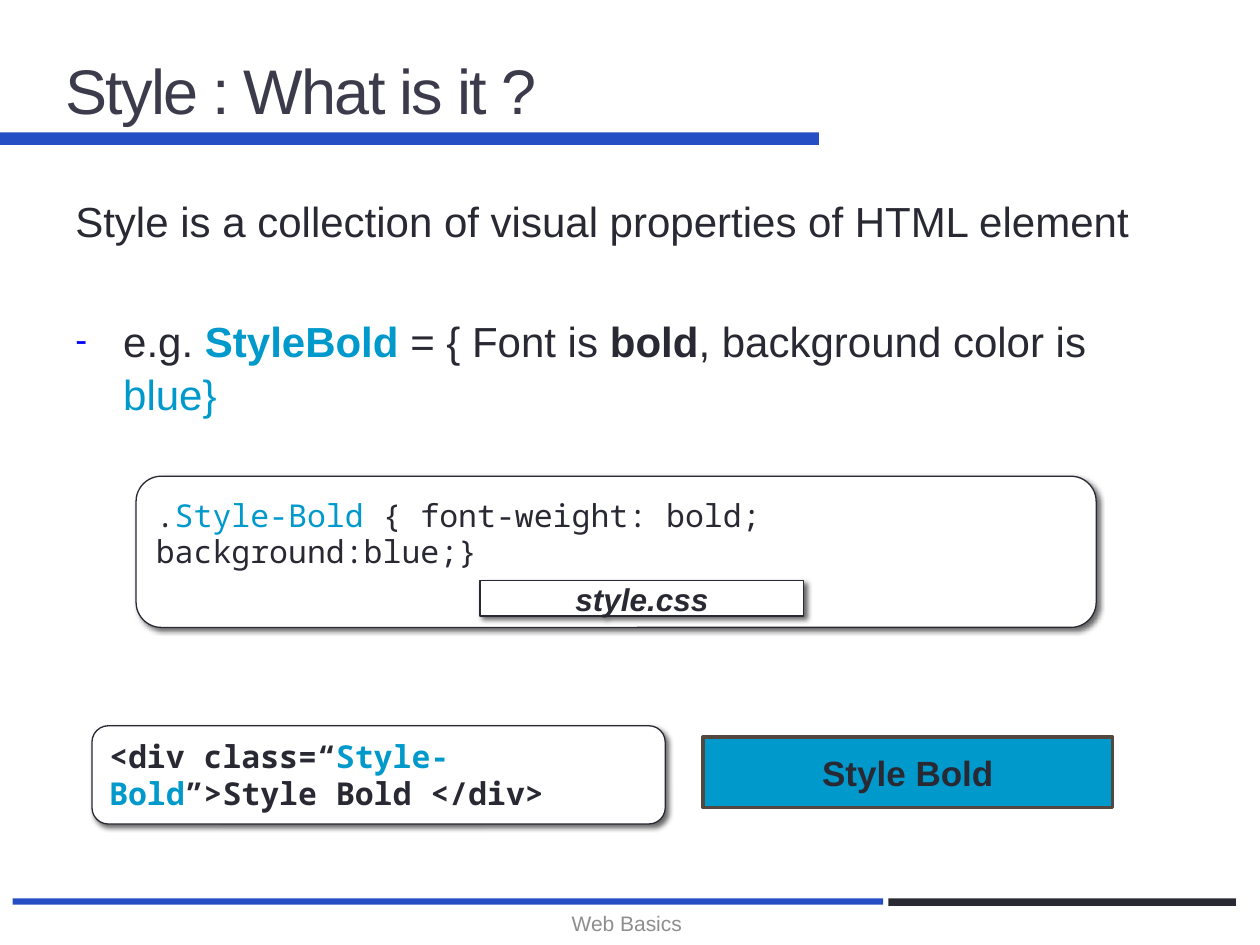
"""Build the slide that explains what a style is."""
from dataclasses import dataclass
from typing import Optional

from lxml import etree
from pptx import Presentation
from pptx import util as u
from pptx.dml.color import RGBColor
from pptx.enum import shapes, text
from pptx.oxml import ns

INK = RGBColor(0x29, 0x29, 0x34)
TITLE_INK = RGBColor(0x3B, 0x3B, 0x4B)
FOOTER_GREY = RGBColor(0x8E, 0x8E, 0x90)
WHITE = RGBColor(0xFF, 0xFF, 0xFF)
ROYAL = RGBColor(0x25, 0x4D, 0xC4)
SKY = RGBColor(0x00, 0x99, 0xCC)
BROWN = RGBColor(0x54, 0x47, 0x40)

SANS = "Arial"
MONO = "Noto Sans Mono"
RECTANGLE = shapes.MSO_SHAPE.RECTANGLE
ROUNDED = shapes.MSO_SHAPE.ROUNDED_RECTANGLE
LEFT, CENTER = text.PP_ALIGN.LEFT, text.PP_ALIGN.CENTER
TOP, MIDDLE = text.MSO_ANCHOR.TOP, text.MSO_ANCHOR.MIDDLE


@dataclass(frozen=True)
class Span:
    text: str
    color: RGBColor = INK
    bold: bool = False


@dataclass(frozen=True)
class Panel:
    left: float
    top: float
    width: float
    height: float
    fill: RGBColor = WHITE
    kind: shapes.MSO_SHAPE = RECTANGLE
    line: Optional[RGBColor] = None
    weight: float = 0.75
    shadow: bool = False


BARS = (
    Panel(0, 1.05, 6.5, 0.1, ROYAL),
    Panel(0.1, 7.13, 6.91, 0.05, ROYAL),
    Panel(7.05, 7.13, 2.76, 0.06, INK),
)
CSS_PANEL = Panel(1.08, 3.78, 7.62, 1.2, kind=ROUNDED, line=INK, shadow=True)
FILE_LABEL = Panel(3.81, 4.61, 2.57, 0.28, line=INK, shadow=True)
RESULT = Panel(5.58, 5.85, 3.25, 0.56, SKY, line=BROWN, weight=2.08)
HTML_PANEL = Panel(0.73, 5.76, 4.55, 0.78, kind=ROUNDED, line=INK, shadow=True)


def add_child(parent, tag: str, **attributes: str):
    return etree.SubElement(parent, ns.qn(tag), attributes)


def add_panel(slide, panel: Panel):
    shape = slide.shapes.add_shape(
        panel.kind, *map(u.Inches, (panel.left, panel.top, panel.width, panel.height))
    )
    shape.shadow.inherit = False
    shape.fill.solid()
    shape.fill.fore_color.rgb = panel.fill
    if panel.line is None:
        shape.line.fill.background()
    else:
        shape.line.color.rgb = panel.line
        shape.line.width = u.Pt(panel.weight)
    if panel.shadow:
        effects = shape.element.spPr.find(ns.qn("a:effectLst"))
        outer = add_child(
            effects, "a:outerShdw", blurRad=str(u.Pt(3)), dist=str(u.Pt(2)),
            dir="2700000", algn="tl", rotWithShape="0",
        )
        color = add_child(outer, "a:srgbClr", val="000000")
        add_child(color, "a:alpha", val="60000")
    return shape


def add_text_box(slide, left: float, top: float, width: float, height: float):
    return slide.shapes.add_textbox(*map(u.Inches, (left, top, width, height)))


def add_dash(para, indent: float) -> None:
    properties = para._p.get_or_add_pPr()
    properties.set("marL", str(u.Inches(indent)))
    properties.set("indent", str(-u.Inches(indent)))
    color = add_child(properties, "a:buClr")
    add_child(color, "a:srgbClr", val="0000FF")
    add_child(properties, "a:buSzPct", val="85000")
    add_child(properties, "a:buFont", typeface=SANS)
    add_child(properties, "a:buChar", char="-")


def write(para, *spans: Span, size: float, font: str = SANS, align=LEFT,
          italic: bool = False, spacing=None, before=None,
          tracking: Optional[float] = None) -> None:
    para.alignment = align
    para.line_spacing = spacing
    para.space_before = before
    for span in spans:
        run = para.add_run()
        run.text = span.text
        run.font.name = font
        run.font.size = u.Pt(size)
        run.font.bold = span.bold
        run.font.italic = italic
        run.font.color.rgb = span.color
        if tracking is not None:
            run.font._element.set("spc", str(int(tracking * 100)))


def first_para(box, anchor=MIDDLE, bottom: float = 0.05):
    frame = box.text_frame
    frame.word_wrap = True
    frame.vertical_anchor = anchor
    frame.margin_bottom = u.Inches(bottom)
    return frame.paragraphs[0]


def add_body(slide) -> None:
    body = add_text_box(slide, 0.5, 1.48, 9, 1.97)
    write(
        first_para(body, TOP),
        Span("Style is a collection of visual properties of HTML element"),
        size=24, spacing=1.06,
    )
    example = body.text_frame.add_paragraph()
    add_dash(example, 0.38)
    write(
        example, Span("e.g. "), Span("StyleBold ", SKY, True),
        Span("= { Font is "), Span("bold", bold=True),
        Span(", background color is "), Span("blue}", SKY),
        size=24, spacing=1.06, before=u.Pt(38),
    )


def main() -> None:
    deck = Presentation()
    deck.slide_width, deck.slide_height = u.Inches(10), u.Inches(7.5)
    slide = deck.slides.add_slide(deck.slide_layouts[6])
    for bar in BARS:
        add_panel(slide, bar)

    title = add_text_box(slide, 0.42, 0.17, 9, 1.08)
    write(first_para(title), Span("Style : What is it ?", TITLE_INK),
          size=36, tracking=-1)
    add_body(slide)
    footer = add_text_box(slide, 3.39, 7.13, 3.17, 0.4)
    write(first_para(footer), Span("Web Basics", FOOTER_GREY), size=12, align=CENTER)

    css = add_panel(slide, CSS_PANEL)
    write(
        first_para(css, bottom=0.34), Span("."), Span("Style-Bold ", SKY),
        Span("{ font-weight: bold; background:blue;}"),
        size=18, font=MONO, spacing=u.Pt(21),
    )
    label = add_panel(slide, FILE_LABEL)
    write(first_para(label), Span("style.css", bold=True),
          size=18, align=CENTER, italic=True)
    result = add_panel(slide, RESULT)
    write(first_para(result), Span("Style Bold", bold=True), size=20, align=CENTER)
    html = add_panel(slide, HTML_PANEL)
    write(
        first_para(html), Span("<div class=“", bold=True),
        Span("Style-Bold", SKY, True), Span("”>Style Bold </div>", bold=True),
        size=18, font=MONO, spacing=u.Pt(21),
    )
    deck.save("out.pptx")


if __name__ == "__main__":
    main()
